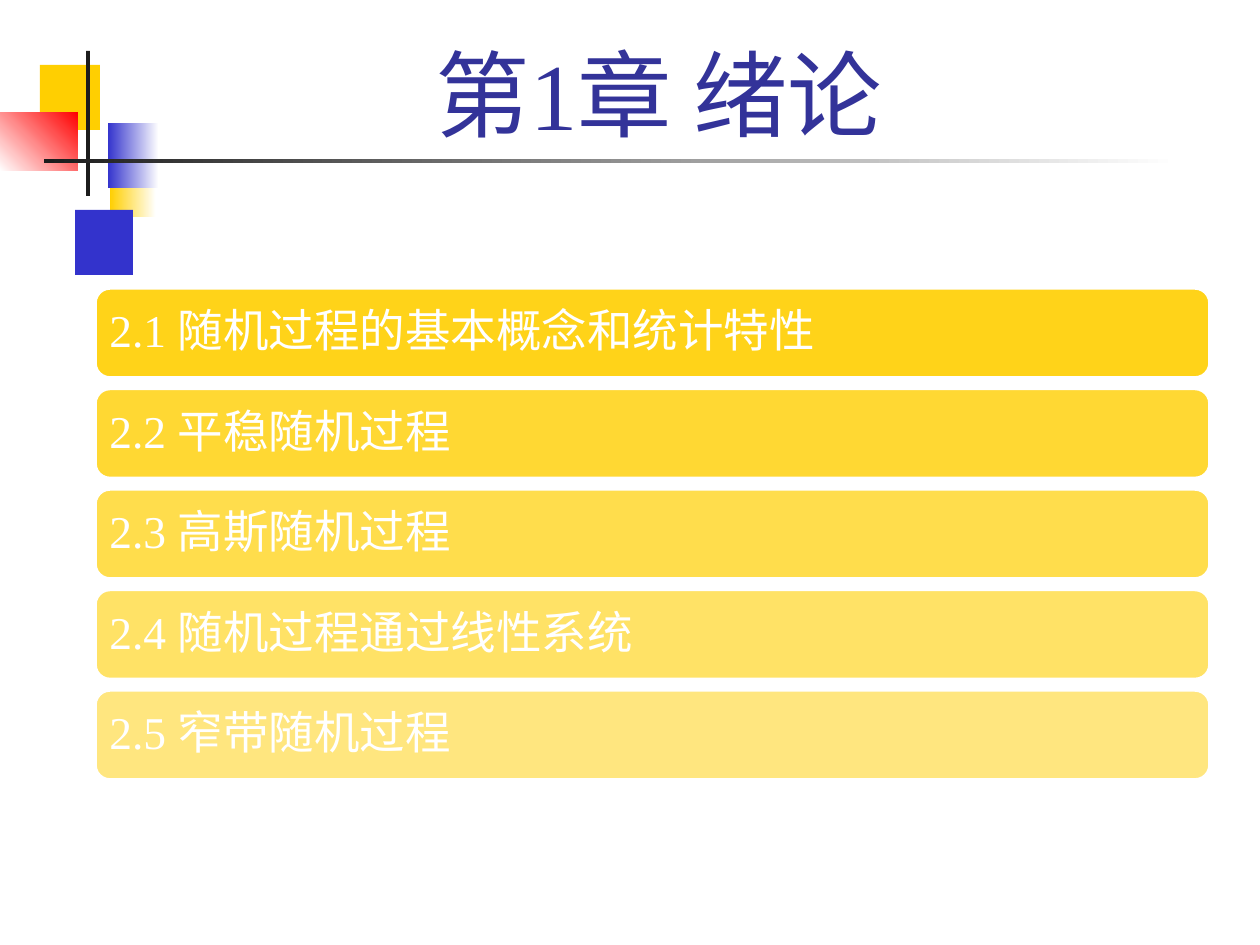
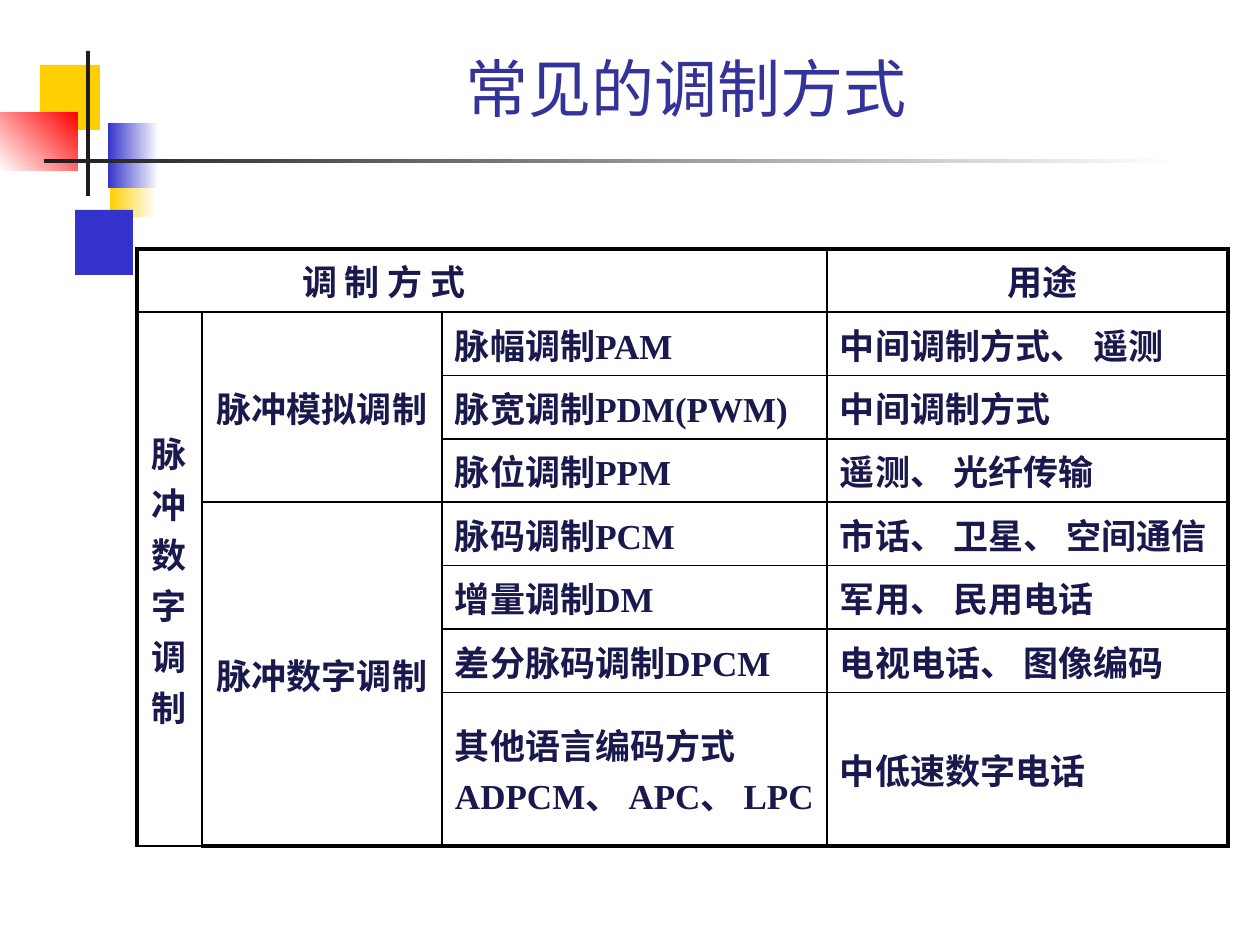
import dataclasses

import lxml.etree
import pptx
import pptx.dml.color
import pptx.enum.lang
import pptx.enum.shapes
import pptx.enum.text
import pptx.oxml.ns
import pptx.util

ALIGN = pptx.enum.text.PP_ALIGN
ANCHOR = pptx.enum.text.MSO_ANCHOR
SHAPE = pptx.enum.shapes.MSO_SHAPE


@dataclasses.dataclass(frozen=True)
class Theme:
    font: str = "Times New Roman"
    white: str = "FFFFFF"
    black: str = "000000"
    ink: str = "1C1C1C"
    yellow: str = "FFCF01"
    blue: str = "3333CC"
    red: str = "FF0000"
    title: str = "333399"
    table_text: str = "19194D"
    chapter_size: int = 54
    title_size: int = 36
    topic_size: int = 26
    table_size: int = 20
    outer_line: float = 2.25
    inner_line: float = 1


THEME = Theme()


def px(length):
    """Turn px (126 to the inch) into EMU."""
    return pptx.util.Emu(round(length * 914400 / 126))


def rgb(color):
    return pptx.dml.color.RGBColor.from_string(color)


def write_text(frame, *lines, size, color, bold=False, align=ALIGN.LEFT,
               line_spacing=None):
    """Write one paragraph for each line, all in the same format."""
    frame.word_wrap = True
    for index, line in enumerate(lines):
        para = frame.add_paragraph() if index else frame.paragraphs[0]
        para.alignment = align
        para.space_before = pptx.util.Pt(0)
        if line_spacing:
            para.line_spacing = line_spacing
        span = para.add_run()
        span.text = line
        span.font.name = THEME.font
        span.font.size = pptx.util.Pt(size)
        span.font.bold = bold
        span.font.color.rgb = rgb(color)
        span.font.language_id = pptx.enum.lang.MSO_LANGUAGE_ID.SIMPLIFIED_CHINESE


def add_block(page, box, color, fade_to=None, angle=0, shape=SHAPE.RECTANGLE):
    """Add a plain or fading shape without outline."""
    block = page.shapes.add_shape(shape, *map(px, box))
    block.shadow.inherit = False
    block.line.fill.background()
    if fade_to:
        block.fill.gradient()
        block.fill.gradient_angle = angle
        for stop, stop_color in zip(block.fill.gradient_stops, (color, fade_to)):
            stop.color.rgb = rgb(stop_color)
    else:
        block.fill.solid()
        block.fill.fore_color.rgb = rgb(color)
    return block


# Shared parts: corner ornament and title
def add_ornament(page, box):
    left, top = box[:2]
    blocks = [
        ((110, 100, 46, 66), THEME.yellow, THEME.white, 0),
        ((75, 159, 58, 65), THEME.blue, None, 0),
        ((40, 14, 60, 65), THEME.yellow, None, 0),
        ((108, 72, 51, 65), THEME.blue, THEME.white, 0),
        ((0, 61, 78, 59), THEME.white, THEME.red, 45),
        ((86, 0, 4, 145), THEME.ink, None, 0),
        ((44, 108, 1134, 4), THEME.ink, THEME.white, 0),
    ]
    for (x, y, width, height), color, fade_to, angle in blocks:
        add_block(page, (left + x, top + y, width, height), color, fade_to, angle)


def add_page(deck, title, title_box, title_size):
    page = deck.slides.add_slide(deck.slide_layouts[5])
    add_ornament(page, (0, 51, 1178, 224))
    heading = page.shapes.title
    heading.left, heading.top, heading.width, heading.height = map(px, title_box)
    heading.text_frame.auto_size = pptx.enum.text.MSO_AUTO_SIZE.NONE
    heading.text_frame.vertical_anchor = ANCHOR.MIDDLE
    write_text(heading.text_frame, title, size=title_size, color=THEME.title,
               align=ALIGN.CENTER)
    return page


# Chapter page: stacked topic bars, each paler than the one above
def add_topic_bars(page, box, topics, bar_height=90):
    left, top, width, height = box
    pitch = (height - bar_height) / (len(topics) - 1)
    for index, topic in enumerate(topics):
        bar = add_block(page, (left, top + index * pitch, width, bar_height),
                        THEME.yellow, shape=SHAPE.ROUNDED_RECTANGLE)
        color = bar.fill._xPr.find(".//" + pptx.oxml.ns.qn("a:srgbClr"))
        lxml.etree.SubElement(color, pptx.oxml.ns.qn("a:alpha"),
                              val=str((90 - 10 * index) * 1000))
        bar.line.color.rgb = rgb(THEME.white)
        bar.line.width = pptx.util.Pt(2)
        frame = bar.text_frame
        frame.margin_left = frame.margin_right = px(10)
        frame.margin_top = frame.margin_bottom = px(14)
        frame.vertical_anchor = ANCHOR.MIDDLE
        write_text(frame, topic, size=THEME.topic_size, color=THEME.white,
                   line_spacing=0.9)


def build_chapter(deck):
    page = add_page(deck, "第1章 绪论", (158, 29, 1002, 127), THEME.chapter_size)
    add_topic_bars(page, (95, 288, 1115, 492), [
        "2.1 随机过程的基本概念和统计特性",
        "2.2 平稳随机过程",
        "2.3 高斯随机过程",
        "2.4 随机过程通过线性系统",
        "2.5 窄带随机过程",
    ])


# Modulation page: table with merged group cells
def set_borders(cell, widths):
    """Set left, right, top and bottom lines; a width of None hides the line."""
    properties = cell._tc.get_or_add_tcPr()
    for side, width in zip("LRTB", widths):
        line = lxml.etree.SubElement(properties, pptx.oxml.ns.qn(f"a:ln{side}"))
        if width is None:
            lxml.etree.SubElement(line, pptx.oxml.ns.qn("a:noFill"))
            continue
        line.set("w", str(pptx.util.Pt(width)))
        fill = lxml.etree.SubElement(line, pptx.oxml.ns.qn("a:solidFill"))
        lxml.etree.SubElement(fill, pptx.oxml.ns.qn("a:srgbClr"), val=THEME.black)


def frame_region(grid, first_row, first_column, last_row, last_column):
    """Draw the lines around one cell or one merged block."""
    outer, inner = THEME.outer_line, THEME.inner_line
    at_bottom = last_row == len(grid.rows) - 1 and first_column > 0
    edges = (
        inner if first_column else outer,
        outer if last_column == len(grid.columns) - 1 else inner,
        inner if first_row else outer,
        outer if at_bottom else inner,
    )
    for row in range(first_row, last_row + 1):
        for column in range(first_column, last_column + 1):
            cell = grid.cell(row, column)
            on_edge = (column == first_column, column == last_column,
                       row == first_row, row == last_row)
            if cell.is_merge_origin:
                on_edge = (True,) * 4
            set_borders(cell, [width if shown else None
                               for width, shown in zip(edges, on_edge)])
            cell.fill.background()


def add_modulation_table(page, box, columns, rows, texts, merges, indents):
    grid = page.shapes.add_table(len(rows), len(columns), *map(px, box)).table
    grid.first_row = grid.horz_banding = False
    for column, width in zip(grid.columns, columns):
        column.width = px(width)
    for row, height in zip(grid.rows, rows):
        row.height = px(height)

    covered = set()
    for first_row, first_column, last_row, last_column in merges:
        grid.cell(first_row, first_column).merge(grid.cell(last_row, last_column))
        covered.update((row, column)
                       for row in range(first_row, last_row + 1)
                       for column in range(first_column, last_column + 1))
    singles = [(row, column, row, column)
               for row in range(len(rows)) for column in range(len(columns))
               if (row, column) not in covered]
    for region in merges + singles:
        frame_region(grid, *region)

    for (row, column), lines in texts.items():
        cell = grid.cell(row, column)
        cell.vertical_anchor = ANCHOR.MIDDLE
        cell.margin_left = px(indents.get((row, column), 13))
        cell.margin_right = px(13)
        cell.margin_top = cell.margin_bottom = px(6)
        is_group = row > 0 and column < 2
        write_text(cell.text_frame, *lines, size=THEME.table_size,
                   color=THEME.table_text, bold=True,
                   align=ALIGN.CENTER if is_group else ALIGN.LEFT)


def build_modulation(deck):
    page = add_page(deck, "常见的调制方式", (150, 9, 1071, 157), THEME.title_size)
    methods = [
        (["脉幅调制PAM"], "中间调制方式、 遥测"),
        (["脉宽调制PDM(PWM)"], "中间调制方式"),
        (["脉位调制PPM"], "遥测、 光纤传输"),
        (["脉码调制PCM"], "市话、 卫星、 空间通信"),
        (["增量调制DM"], "军用、 民用电话"),
        (["差分脉码调制DPCM"], "电视电话、 图像编码"),
        (["其他语言编码方式", "ADPCM、 APC、 LPC"], "中低速数字电话"),
    ]
    texts = {
        (0, 0): ["调 制 方 式"],
        (0, 3): ["用途"],
        (1, 0): list("脉冲数字调制"),
        (1, 1): ["脉冲模拟调制"],
        (4, 1): ["脉冲数字调制"],
    }
    for row, (method, use) in enumerate(methods, start=1):
        texts[row, 2] = method
        texts[row, 3] = [use]
    add_modulation_table(
        page, (137, 249, 1091, 597),
        columns=[65, 240, 385, 401],
        rows=[63] + [63.4] * 6 + [153.6],
        texts=texts,
        merges=[(0, 0, 0, 2), (1, 0, 7, 0), (1, 1, 3, 1), (4, 1, 7, 1)],
        indents={(0, 0): 165, (0, 3): 181},
    )


def main():
    deck = pptx.Presentation()
    deck.slide_width, deck.slide_height = px(1260), px(945)
    build_chapter(deck)
    build_modulation(deck)
    deck.save("out.pptx")


if __name__ == "__main__":
    main()
